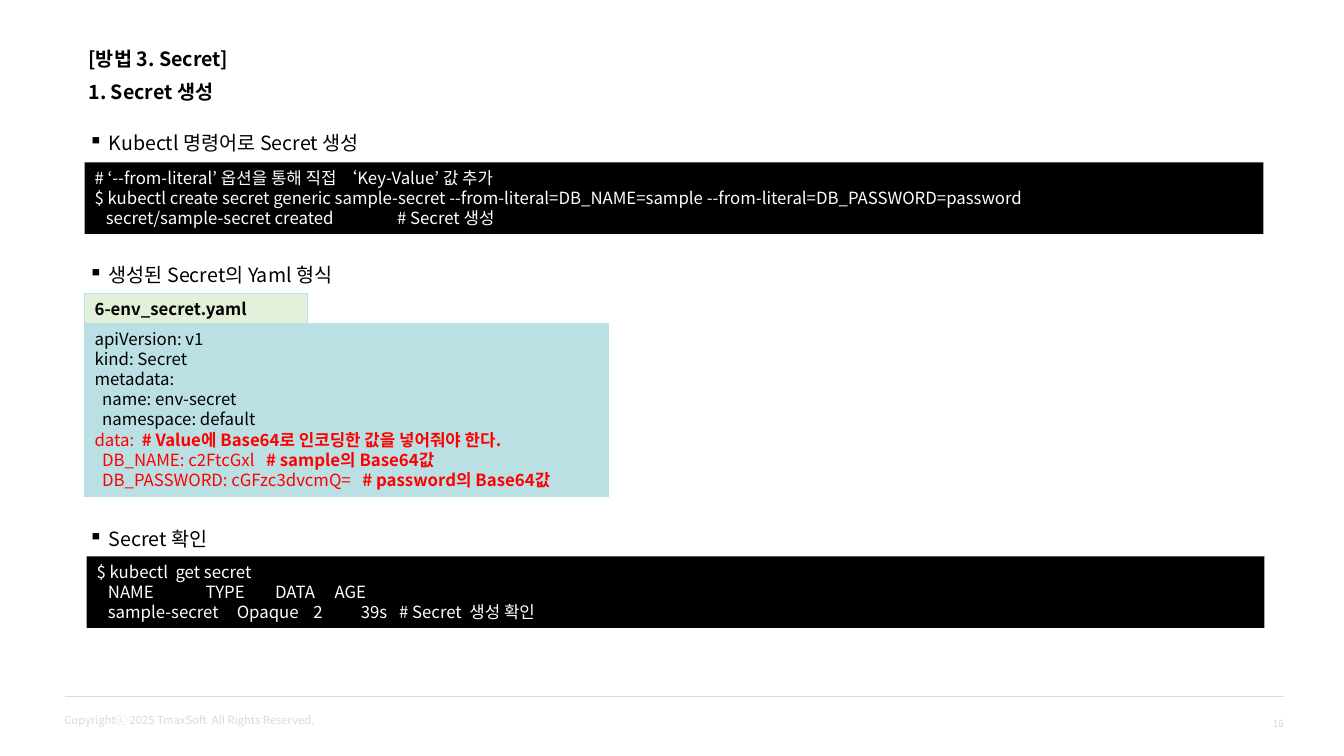
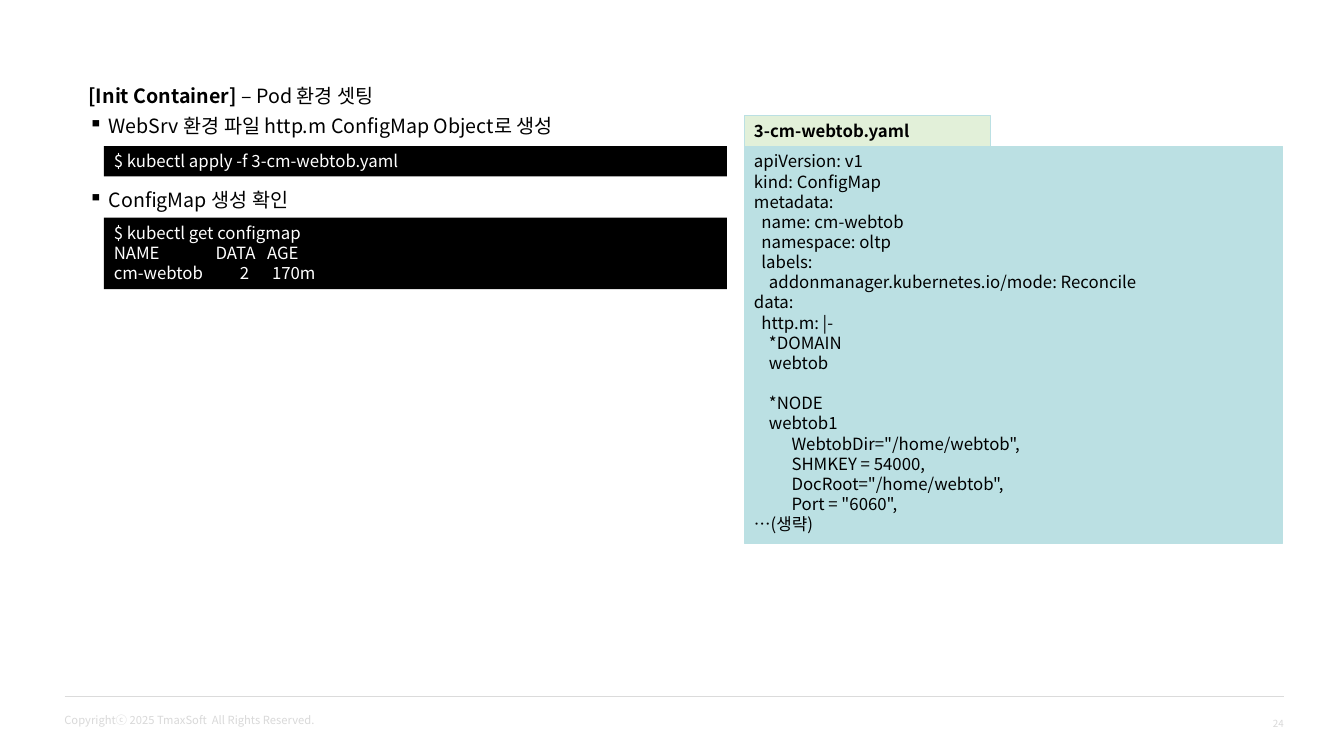
from dataclasses import dataclass

from lxml import etree
from pptx import Presentation
from pptx.dml.color import RGBColor
from pptx.enum.shapes import MSO_CONNECTOR, MSO_SHAPE
from pptx.enum.text import MSO_ANCHOR, PP_ALIGN
from pptx.oxml.ns import qn
from pptx.util import Inches, Pt

RECTANGLE = MSO_SHAPE.RECTANGLE
STRAIGHT = MSO_CONNECTOR.STRAIGHT
TOP = MSO_ANCHOR.TOP
MIDDLE = MSO_ANCHOR.MIDDLE
LEFT = PP_ALIGN.LEFT
RIGHT = PP_ALIGN.RIGHT

FONT = "Noto Sans CJK KR"
BLACK = "000000"
WHITE = "FFFFFF"
RED = "FF0000"
AQUA = "BBE0E3"
GREEN = "E2F0D9"
RULE_GREY = "DBDBDB"
FOOTER_GREY = "D9D9D9"

HEADING_SIZE = 14
CODE_SIZE = 12
LINE_FACTOR = 1.2
TEXT_LEFT = 0.78
TAB_HEIGHT = 0.3


@dataclass
class Line:
    runs: list
    bullet: bool = False
    space_before: float = 0
    tabs: tuple = ()


def plain(text, bold=False, color=None, **options):
    return Line([(text, bold, color)], **options)


def bullet(text, space_before=0):
    return plain(text, bullet=True, space_before=space_before)


def code_lines(text):
    lines = []
    gap = 0
    for row in text.splitlines():
        if row:
            lines.append(plain(row, space_before=gap))
            gap = 0
        else:
            gap += CODE_SIZE * LINE_FACTOR
    return lines


def rgb(value):
    return RGBColor.from_string(value)


def add_run(paragraph, text, size, color, bold):
    run = paragraph.add_run()
    run.text = text
    run.font.name = FONT
    run.font.size = Pt(size)
    run.font.bold = bold
    run.font.color.rgb = rgb(color)
    east_asian = etree.SubElement(run._r.get_or_add_rPr(), qn("a:ea"))
    east_asian.set("typeface", FONT)


def add_bullet(paragraph):
    properties = paragraph._p.get_or_add_pPr()
    properties.set("marL", str(Inches(0.2)))
    properties.set("indent", str(Inches(-0.2)))
    etree.SubElement(properties, qn("a:buChar")).set("char", "▪")


def add_tabs(paragraph, positions):
    tab_list = etree.SubElement(paragraph._p.get_or_add_pPr(), qn("a:tabLst"))
    for position in positions:
        tab = etree.SubElement(tab_list, qn("a:tab"))
        tab.set("pos", str(Inches(position)))
        tab.set("algn", "l")


def write_lines(shape, lines, size, color, align=LEFT, anchor=TOP, wrap=True):
    frame = shape.text_frame
    frame.word_wrap = wrap
    frame.vertical_anchor = anchor
    for index, line in enumerate(lines):
        paragraph = frame.add_paragraph() if index else frame.paragraphs[0]
        if line.bullet:
            add_bullet(paragraph)
        if line.tabs:
            add_tabs(paragraph, line.tabs)
        paragraph.alignment = align
        paragraph.line_spacing = Pt(size * LINE_FACTOR)
        if line.space_before:
            paragraph.space_before = Pt(line.space_before)
        for text, bold, run_color in line.runs:
            add_run(paragraph, text, size, run_color or color, bold)


def add_text(slide, box, lines, size=HEADING_SIZE, color=BLACK, **options):
    shape = slide.shapes.add_textbox(*map(Inches, box))
    write_lines(shape, lines, size, color, **options)


def add_heading(slide, top, line):
    add_text(slide, (TEXT_LEFT, top, 10.78, 0.34), [line])


def add_panel(slide, box, lines, fill, color, border=None):
    shape = slide.shapes.add_shape(RECTANGLE, *map(Inches, box))
    shape.shadow.inherit = False
    shape.fill.solid()
    shape.fill.fore_color.rgb = rgb(fill)
    if border:
        shape.line.color.rgb = rgb(border)
        shape.line.width = Pt(0.75)
    else:
        shape.line.fill.background()
    write_lines(shape, lines, CODE_SIZE, color)


def add_terminal(slide, box, lines):
    add_panel(slide, box, lines, BLACK, WHITE)


def add_yaml_file(slide, box, name, tab_width, lines):
    left, top, width, height = box
    add_panel(slide, (left, top + TAB_HEIGHT, width, height), lines, AQUA, BLACK, AQUA)
    add_panel(slide, (left, top, tab_width, TAB_HEIGHT), [plain(name, True)], GREEN, BLACK, AQUA)


def add_slide(presentation, number):
    slide = presentation.slides.add_slide(presentation.slide_layouts[6])
    rule = slide.shapes.add_connector(
        STRAIGHT, Inches(0.64), Inches(6.91), Inches(12.73), Inches(6.91))
    rule.line.color.rgb = rgb(RULE_GREY)
    rule.line.width = Pt(0.5)
    etree.SubElement(rule._element.spPr, qn("a:effectLst"))
    add_text(slide, (0.54, 7.03, 2.7, 0.24),
             [plain("Copyrightⓒ 2025 TmaxSoft  All Rights Reserved.")],
             size=8, color=FOOTER_GREY, wrap=False)
    add_text(slide, (11.78, 6.85, 1.05, 0.65), [plain(str(number))],
             size=7, color=FOOTER_GREY, align=RIGHT, anchor=MIDDLE)
    return slide


SECRET_YAML = """apiVersion: v1
kind: Secret
metadata:
  name: env-secret
  namespace: default"""

SECRET_DATA = (
    ("data:  ", "# Value에 Base64로 인코딩한 값을 넣어줘야 한다."),
    ("  DB_NAME: c2FtcGxl  ", " # sample의 Base64값"),
    ("  DB_PASSWORD: cGFzc3dvcmQ=   ", "# password의 Base64값"),
)

CONFIGMAP_YAML = """apiVersion: v1
kind: ConfigMap
metadata:
  name: cm-webtob
  namespace: oltp
  labels:
    addonmanager.kubernetes.io/mode: Reconcile
data:
  http.m: |-
    *DOMAIN
    webtob

    *NODE
    webtob1
          WebtobDir="/home/webtob",
          SHMKEY = 54000,
          DocRoot="/home/webtob",
          Port = "6060",
…(생략)"""


def build_secret_slide(presentation):
    slide = add_slide(presentation, 16)
    add_heading(slide, 0.42, plain("[방법 3. Secret]", True))
    add_heading(slide, 0.74, plain("1. Secret 생성", True))

    add_heading(slide, 1.25, bullet("Kubectl 명령어로 Secret 생성"))
    add_terminal(slide, (0.84, 1.61, 11.69, 0.71), [
        plain("# ‘--from-literal’ 옵션을 통해 직접 ‘Key-Value’ 값 추가"),
        plain("$ kubectl create secret generic sample-secret "
              "--from-literal=DB_NAME=sample --from-literal=DB_PASSWORD=password"),
        plain("   secret/sample-secret created\t# Secret 생성", tabs=(3,)),
    ])

    add_heading(slide, 2.56, bullet("생성된 Secret의 Yaml 형식"))
    data_lines = [Line([(entry, False, RED), (remark, True, RED)])
                  for entry, remark in SECRET_DATA]
    add_yaml_file(slide, (0.84, 2.91, 5.2, 1.72), "6-env_secret.yaml", 2.21,
                  code_lines(SECRET_YAML) + data_lines)

    add_heading(slide, 5.18, bullet("Secret 확인"))
    add_terminal(slide, (0.86, 5.52, 11.68, 0.71), [
        plain("$ kubectl  get secret"),
        plain("   NAME\tTYPE\tDATA\tAGE", tabs=(1.08, 1.77, 2.36)),
        plain("   sample-secret\tOpaque\t2\t39s\t# Secret  생성 확인",
              tabs=(1.39, 2.15, 2.62, 3)),
    ])


def build_configmap_slide(presentation):
    slide = add_slide(presentation, 24)
    add_text(slide, (TEXT_LEFT, 0.78, 11.94, 0.64), [
        Line([("[Init Container]", True, None), (" – Pod 환경 셋팅", False, None)]),
        bullet("WebSrv 환경 파일 http.m ConfigMap Object로 생성", space_before=5),
    ])
    add_yaml_file(slide, (7.38, 1.15, 5.34, 3.94), "3-cm-webtob.yaml", 2.44,
                  code_lines(CONFIGMAP_YAML))
    add_terminal(slide, (1.03, 1.45, 6.18, 0.3),
                 [plain("$ kubectl apply -f 3-cm-webtob.yaml")])

    add_heading(slide, 1.82, bullet("ConfigMap 생성 확인"))
    add_terminal(slide, (1.03, 2.16, 6.18, 0.71), [
        plain("$ kubectl get configmap"),
        plain("NAME\tDATA\tAGE", tabs=(1.01, 1.52)),
        plain("cm-webtob\t2\t170m", tabs=(1.25, 1.57)),
    ])


def main():
    presentation = Presentation()
    presentation.slide_width = Inches(13.33)
    presentation.slide_height = Inches(7.5)
    build_secret_slide(presentation)
    build_configmap_slide(presentation)
    presentation.save("out.pptx")


if __name__ == "__main__":
    main()
